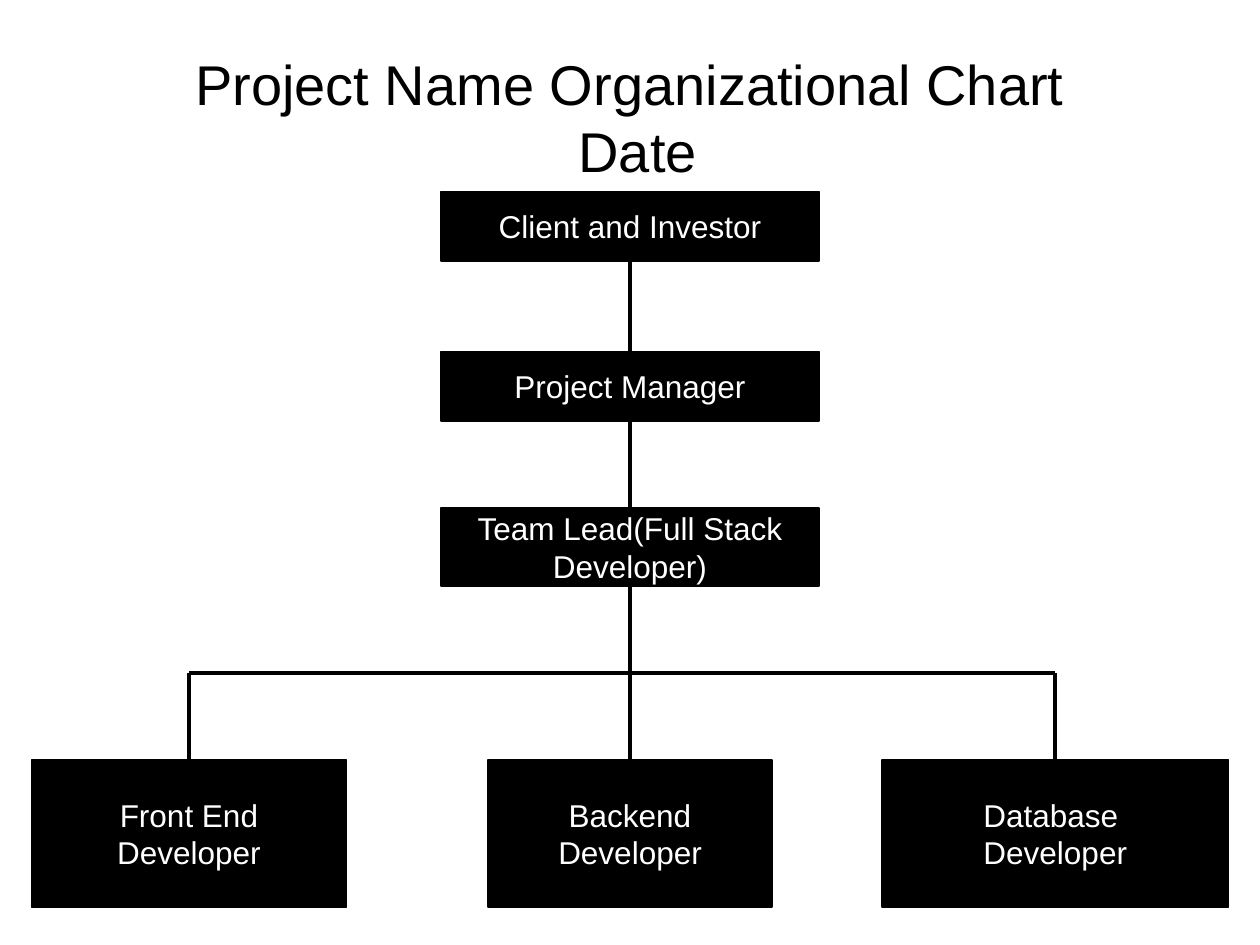
from pptx import Presentation
from pptx.dml.color import RGBColor
from pptx.enum.shapes import MSO_CONNECTOR, MSO_SHAPE
from pptx.enum.text import MSO_ANCHOR, PP_ALIGN
from pptx.util import Inches, Pt
from lxml.etree import SubElement
from pptx.oxml.ns import qn

BLACK, WHITE, FONT = "000000", "FFFFFF", "Arial"
TITLE = ["Project Name Organizational Chart", " Date"]
MIDDLE = 5
BUS_TOP = 5.34

# paragraphs, centre, top, width, height
CHAIN = [
    (["Client and Investor"], MIDDLE, 1.52, 3, 0.55),
    (["Project Manager"], MIDDLE, 2.79, 3, 0.55),
    (["Team Lead(Full Stack Developer)"], MIDDLE, 4.03, 3, 0.62),
]
TEAM = [
    (["Front End Developer"], 1.5, 6.03, 2.5, 1.17),
    (["Backend", "Developer"], MIDDLE, 6.03, 2.25, 1.17),
    (["Database ", "Developer"], 8.375, 6.03, 2.75, 1.17),
]


def color(value):
    return RGBColor.from_string(value)


def add_span(para, text, size, value):
    para.alignment = PP_ALIGN.CENTER
    span = para.add_run()
    span.text = text
    span.font.name = FONT
    span.font.size = Pt(size)
    span.font.color.rgb = color(value)


def add_box(slide, lines, center, top, width, height):
    box = slide.shapes.add_shape(
        MSO_SHAPE.RECTANGLE, Inches(center - width / 2), Inches(top),
        Inches(width), Inches(height))
    box.shadow.inherit = False
    box.fill.solid()
    box.fill.fore_color.rgb = color(BLACK)
    box.line.color.rgb = color(BLACK)
    box.line.width = Pt(1)
    frame = box.text_frame
    frame.word_wrap = True
    frame.vertical_anchor = MSO_ANCHOR.MIDDLE
    frame.margin_left = frame.margin_right = Inches(0.12)
    for index, line in enumerate(lines):
        para = frame.add_paragraph() if index else frame.paragraphs[0]
        add_span(para, line, 18, WHITE)
    return box


def add_line(slide, start, end, upper=None, lower=None):
    """Draw a line, joined to the bottom of upper and the top of lower."""
    line = slide.shapes.add_connector(
        MSO_CONNECTOR.STRAIGHT, *(Inches(value) for value in start + end))
    line.line.color.rgb = color(BLACK)
    line.line.width = Pt(2.25)
    SubElement(line._element.spPr, qn("a:effectLst"))
    if upper is not None:
        line.begin_connect(upper, 2)
    if lower is not None:
        line.end_connect(lower, 0)


def main():
    deck = Presentation()
    deck.slide_width, deck.slide_height = Inches(10), Inches(7.5)
    slide = deck.slides.add_slide(deck.slide_layouts[5])

    title = slide.shapes.title
    title.left, title.top = Inches(0), Inches(0.3)
    title.width, title.height = Inches(10), Inches(1.25)
    title.text_frame.vertical_anchor = MSO_ANCHOR.MIDDLE
    para = title.text_frame.paragraphs[0]
    add_span(para, TITLE[0], 32, BLACK)
    para.add_line_break()
    add_span(para, TITLE[1], 32, BLACK)

    chain = [add_box(slide, *entry) for entry in CHAIN]
    team = [add_box(slide, *entry) for entry in TEAM]

    column = chain + [team[1]]
    for upper, lower in zip(column, column[1:]):
        add_line(slide, (MIDDLE, 0), (MIDDLE, 0), upper, lower)

    ends = [(TEAM[index][1], BUS_TOP) for index in (0, 2)]
    for end, box in zip(ends, (team[0], team[2])):
        add_line(slide, end, end, lower=box)
    add_line(slide, *ends)

    deck.save("out.pptx")


if __name__ == "__main__":
    main()
